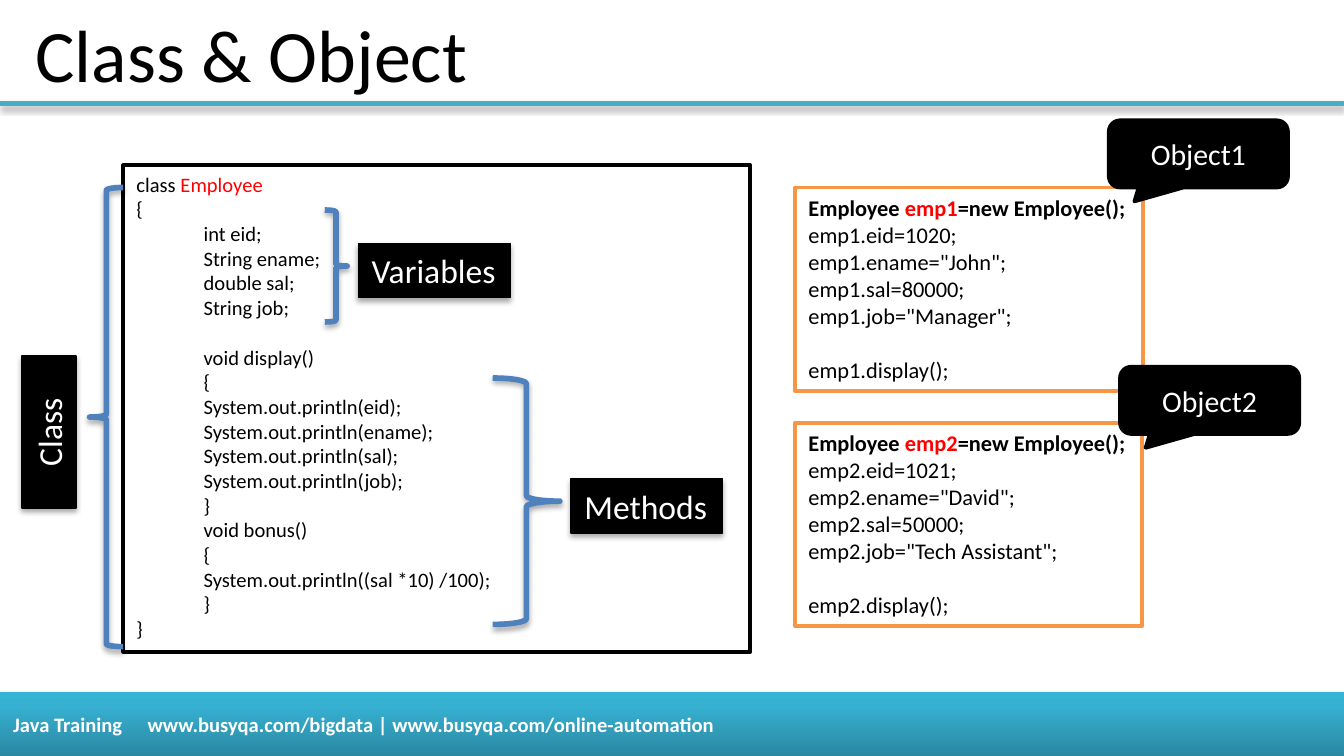
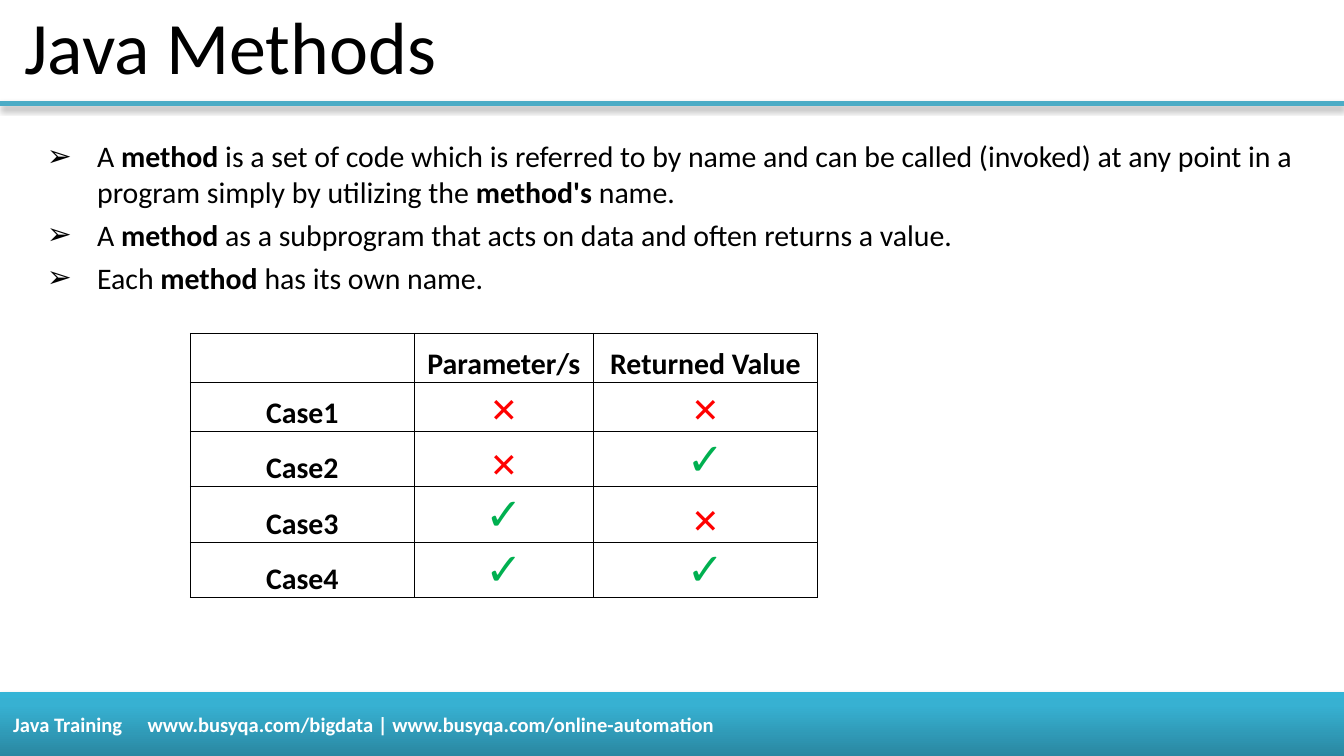
from dataclasses import dataclass
from typing import Any, NamedTuple, Optional

import lxml.etree
import pptx
import pptx.dml.color
import pptx.enum.shapes
import pptx.enum.text
import pptx.oxml.ns
import pptx.util

Pt = pptx.util.Pt
qn = pptx.oxml.ns.qn
Kind = pptx.enum.shapes.MSO_SHAPE
Align = pptx.enum.text.PP_ALIGN
Anchor = pptx.enum.text.MSO_ANCHOR


# Theme
@dataclass(frozen=True)
class Theme:
    face: str = "Calibri"
    black: str = "000000"
    white: str = "FFFFFF"
    red: str = "FF0000"
    green: str = "00B050"
    blue: str = "4F81BD"
    teal: str = "4BACC6"
    amber: str = "F79646"
    band: tuple = ((0, "2A88A2"), (80, "37B1D2"), (100, "34B4D6"))
    title: float = 39.6
    label: float = 18
    body: float = 16
    object: float = 12
    code: float = 11
    cross: float = 18
    tick: float = 24


THEME = Theme()
WIDE, HIGH = 720, 405


class Box(NamedTuple):
    left: float
    top: float
    width: float
    height: float


class Bit(NamedTuple):
    text: str
    color: Optional[str] = None
    bold: Optional[bool] = None


class Para(NamedTuple):
    bits: tuple
    indent: float = 0
    before: float = 0
    bold: bool = False
    bullet: str = ""
    tab: float = 0


class Look(NamedTuple):
    fill: Optional[str]
    line: Optional[str]
    weight: float = 0
    shadow: bool = False


class Label(NamedTuple):
    text: str
    box: Box
    turn: float = 0


class Brace(NamedTuple):
    kind: Any
    box: Box


class Staff(NamedTuple):
    name: str
    box: Box
    facts: tuple
    tag: Label


LABEL = Look(THEME.black, THEME.black, 0.75, True)
BRACE = Look(None, THEME.blue, 3, True)
SPEECH = Look(THEME.black, THEME.black, 2)


# Drawing tools
def rgb(code: str) -> Any:
    return pptx.dml.color.RGBColor.from_string(code)


def node(parent: Any, tag: str, **attrs: Any) -> Any:
    return lxml.etree.SubElement(parent, qn(tag), {k: str(v) for k, v in attrs.items()})


def shade(effect: Any) -> None:
    drop = node(effect, "a:outerShdw", blurRad=Pt(3.1), dist=Pt(1.8),
                dir=5400000, rotWithShape=0)
    node(node(drop, "a:srgbClr", val=THEME.black), "a:alpha", val=35000)


def write(frame: Any, paras: list, size: float, color: str = THEME.black,
          align: Any = Align.LEFT, anchor: Any = Anchor.TOP, wrap: bool = True) -> None:
    frame.word_wrap = wrap
    frame.vertical_anchor = anchor
    for i, item in enumerate(paras):
        para = frame.paragraphs[0] if i == 0 else frame.add_paragraph()
        para.alignment = align
        if item.before:
            para.space_before = Pt(item.before)
        props = para._p.get_or_add_pPr()
        props.set("marL", str(Pt(item.indent)))
        props.set("indent", str(Pt(-item.indent if item.bullet else 0)))
        if item.bullet:
            node(props, "a:buFont", typeface="Arial")
            node(props, "a:buChar", char=item.bullet)
        if item.tab:
            node(node(props, "a:tabLst"), "a:tab", pos=Pt(item.tab), algn="l")
        font = para.font
        font.name, font.size, font.bold = THEME.face, Pt(size), item.bold
        font.color.rgb = rgb(color)
        for bit in item.bits:
            run = para.add_run()
            run.text = bit.text
            if bit.color:
                run.font.color.rgb = rgb(bit.color)
            if bit.bold is not None:
                run.font.bold = bit.bold


def plain(text: str, bold: bool = False) -> list:
    return [Para((Bit(text),), bold=bold)]


def draw(slide: Any, kind: Any, box: Box, look: Look) -> Any:
    shape = slide.shapes.add_shape(kind, *map(Pt, box))
    if look.fill:
        shape.fill.solid()
        shape.fill.fore_color.rgb = rgb(look.fill)
    else:
        shape.fill.background()
    if look.line:
        shape.line.color.rgb = rgb(look.line)
        shape.line.width = Pt(look.weight)
    else:
        shape.line.fill.background()
    shape.shadow.inherit = False
    if look.shadow:
        shade(shape._element.spPr.find(qn("a:effectLst")))
    return shape


def text(slide: Any, box: Box, paras: list, size: float, anchor: Any = Anchor.TOP) -> None:
    frame = slide.shapes.add_textbox(*map(Pt, box)).text_frame
    write(frame, paras, size, anchor=anchor)


def tag(slide: Any, item: Label) -> None:
    shape = draw(slide, Kind.RECTANGLE, item.box, LABEL)
    shape.rotation = item.turn
    write(shape.text_frame, plain(item.text), THEME.label, THEME.white,
          Align.CENTER if item.turn else Align.LEFT, wrap=False)


def speech(slide: Any, item: Label) -> None:
    shape = draw(slide, Kind.ROUNDED_RECTANGULAR_CALLOUT, item.box, SPEECH)
    for i, value in enumerate((-0.357, 0.707, 0.167)):
        shape.adjustments[i] = value
    write(shape.text_frame, plain(item.text), THEME.body, THEME.white,
          Align.CENTER, Anchor.MIDDLE)


# Shared frame: rule, footer band, title
def start(deck: Any, title: str, box: Box) -> Any:
    slide = deck.slides.add_slide(deck.slide_layouts[6])
    rule = slide.shapes.add_connector(pptx.enum.shapes.MSO_CONNECTOR.STRAIGHT,
                                      Pt(0), Pt(55.5), Pt(WIDE), Pt(55.5))
    rule.line.color.rgb = rgb(THEME.teal)
    rule.line.width = Pt(3)
    shade(node(rule._element.spPr, "a:effectLst"))

    band = draw(slide, Kind.RECTANGLE, Box(0, 370.75, WIDE, 34.25),
                Look(None, None, shadow=True))
    band.fill.gradient()
    band.fill.gradient_angle = 90
    stops = band._element.spPr.find(".//" + qn("a:gsLst"))
    for stop in list(stops):
        stops.remove(stop)
    for place, color in THEME.band:
        node(node(stops, "a:gs", pos=place * 1000), "a:srgbClr", val=color)
    footer = "Java Training\twww.busyqa.com/bigdata | www.busyqa.com/online-automation"
    write(band.text_frame, [Para((Bit(footer),), bold=True, tab=360)],
          THEME.code, THEME.white, anchor=Anchor.MIDDLE)

    text(slide, box, plain(title), THEME.title, Anchor.MIDDLE)
    return slide


# Slide 1: class and objects
FIELDS = ("int eid;", "String ename;", "double sal;", "String job;")
METHODS = ("void display()", "{", "System.out.println(eid);", "System.out.println(ename);",
           "System.out.println(sal);", "System.out.println(job);", "}",
           "void bonus()", "{", "System.out.println((sal *10) /100);", "}")
BRACES = (Brace(Kind.RIGHT_BRACE, Box(174, 112.5, 12, 60)),
          Brace(Kind.RIGHT_BRACE, Box(264, 202.5, 36, 132)),
          Brace(Kind.LEFT_BRACE, Box(48, 100.5, 18, 246)))
LABELS = (Label("Variables", Box(192, 130.5, 81.5, 29)),
          Label("Methods", Box(306, 256.5, 81, 29)),
          Label("Class", Box(-14.5, 217, 81.5, 29), 270))
STAFF = (Staff("emp1", Box(426, 100.5, 186.5, 109),
               ("eid=1020", 'ename="John"', "sal=80000", 'job="Manager"'),
               Label("Object1", Box(594, 64.5, 96, 36))),
         Staff("emp2", Box(426, 226.5, 186, 109),
               ("eid=1021", 'ename="David"', "sal=50000", 'job="Tech Assistant"'),
               Label("Object2", Box(600, 196.5, 96, 36))))


def listing() -> list:
    gap = THEME.code * 1.22
    head = [Para((Bit("class "), Bit("Employee", THEME.red)))] + plain("{")
    fields = [Para((Bit(line),), 36) for line in FIELDS]
    methods = [Para((Bit(line),), 36, 0 if i else gap) for i, line in enumerate(METHODS)]
    return head + fields + methods + plain("}")


def usage(item: Staff) -> list:
    gap = THEME.object * 1.22
    head = Para((Bit("Employee "), Bit(item.name, THEME.red), Bit("=new Employee();")),
                bold=True)
    facts = [Para((Bit(f"{item.name}.{fact};"),)) for fact in item.facts]
    return [head, *facts, Para((Bit(f"{item.name}.display();"),), before=gap)]


def classes(deck: Any) -> None:
    slide = start(deck, "Class & Object", Box(12, 4.5, 570, 48))
    code = draw(slide, Kind.RECTANGLE, Box(66, 88.5, 336, 260.75),
                Look(THEME.white, THEME.black, 2))
    write(code.text_frame, listing(), THEME.code)
    for brace in BRACES:
        draw(slide, brace.kind, brace.box, BRACE)
    for label in LABELS:
        tag(slide, label)
    for item in STAFF:
        shape = draw(slide, Kind.RECTANGLE, item.box, Look(THEME.white, THEME.amber, 2))
        write(shape.text_frame, usage(item), THEME.object)
    for item in STAFF:
        speech(slide, item.tag)


# Slide 2: methods
POINTS = (("A ", "method", " is a set of code which is referred to by name and can be called "
           "(invoked) at any point in a program simply by utilizing the ", "method's", " name."),
          ("A ", "method", " as a subprogram that acts on data and often returns a value."),
          ("Each ", "method", " has its own name."))
CASES = (("", "Parameter/s", "Returned Value"),
         ("Case1", "✕", "✕"),
         ("Case2", "✕", "✓"),
         ("Case3", "✓", "✕"),
         ("Case4", "✓", "✓"))
MARKS = {"✕": (THEME.cross, THEME.red), "✓": (THEME.tick, THEME.green)}


def point(parts: tuple, before: float) -> Para:
    bits = tuple(Bit(part, bold=i % 2 == 1) for i, part in enumerate(parts))
    return Para(bits, 27, before, bullet="➢")


def fill(cell: Any, word: str) -> None:
    cell.margin_left = cell.margin_right = cell.margin_top = Pt(0.75)
    cell.margin_bottom = Pt(0)
    cell.vertical_anchor = Anchor.BOTTOM
    props = cell._tc.get_or_add_tcPr()
    for side in ("a:lnL", "a:lnR", "a:lnT", "a:lnB"):
        edge = node(props, side, w=Pt(0.5))
        node(node(edge, "a:solidFill"), "a:srgbClr", val=THEME.black)
    cell.fill.background()
    size, color = MARKS.get(word, (THEME.body, THEME.black))
    para = Para((Bit(word),) if word else (), bold=word not in MARKS)
    write(cell.text_frame, [para], size, color, Align.CENTER, Anchor.BOTTOM)


def methods(deck: Any) -> None:
    slide = start(deck, "Java Methods", Box(6, 0, 648, 48))
    text(slide, Box(18, 70.5, 684, 291.75),
         [point(parts, 3.8 if i else 0) for i, parts in enumerate(POINTS)], THEME.body)
    widths, row = (120, 96, 120), 26.4
    table = slide.shapes.add_table(len(CASES), len(widths), Pt(102), Pt(178.5),
                                   Pt(sum(widths)), Pt(row * len(CASES))).table
    table.first_row = table.horz_banding = False
    for column, width in zip(table.columns, widths):
        column.width = Pt(width)
    for r, words in enumerate(CASES):
        table.rows[r].height = Pt(row)
        for c, word in enumerate(words):
            fill(table.cell(r, c), word)


def main() -> None:
    deck = pptx.Presentation()
    deck.slide_width, deck.slide_height = Pt(WIDE), Pt(HIGH)
    classes(deck)
    methods(deck)
    deck.save("out.pptx")


if __name__ == "__main__":
    main()
